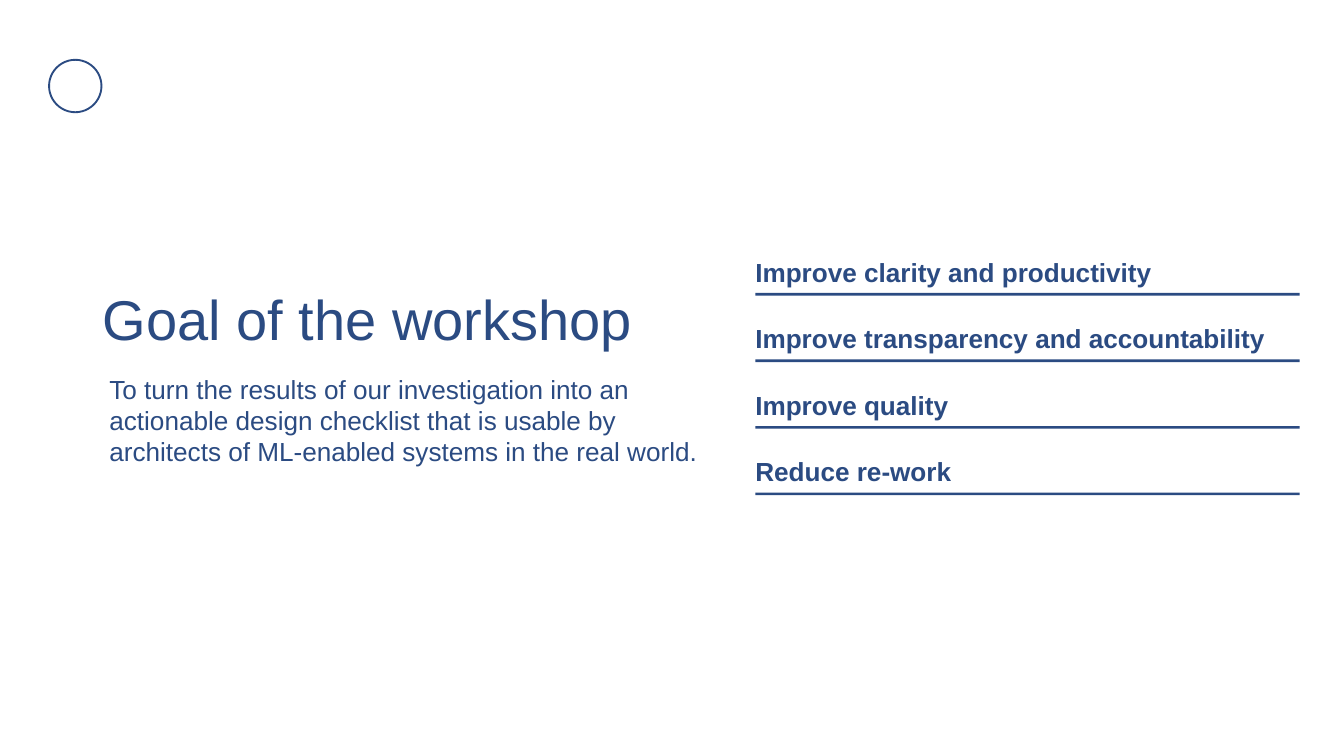
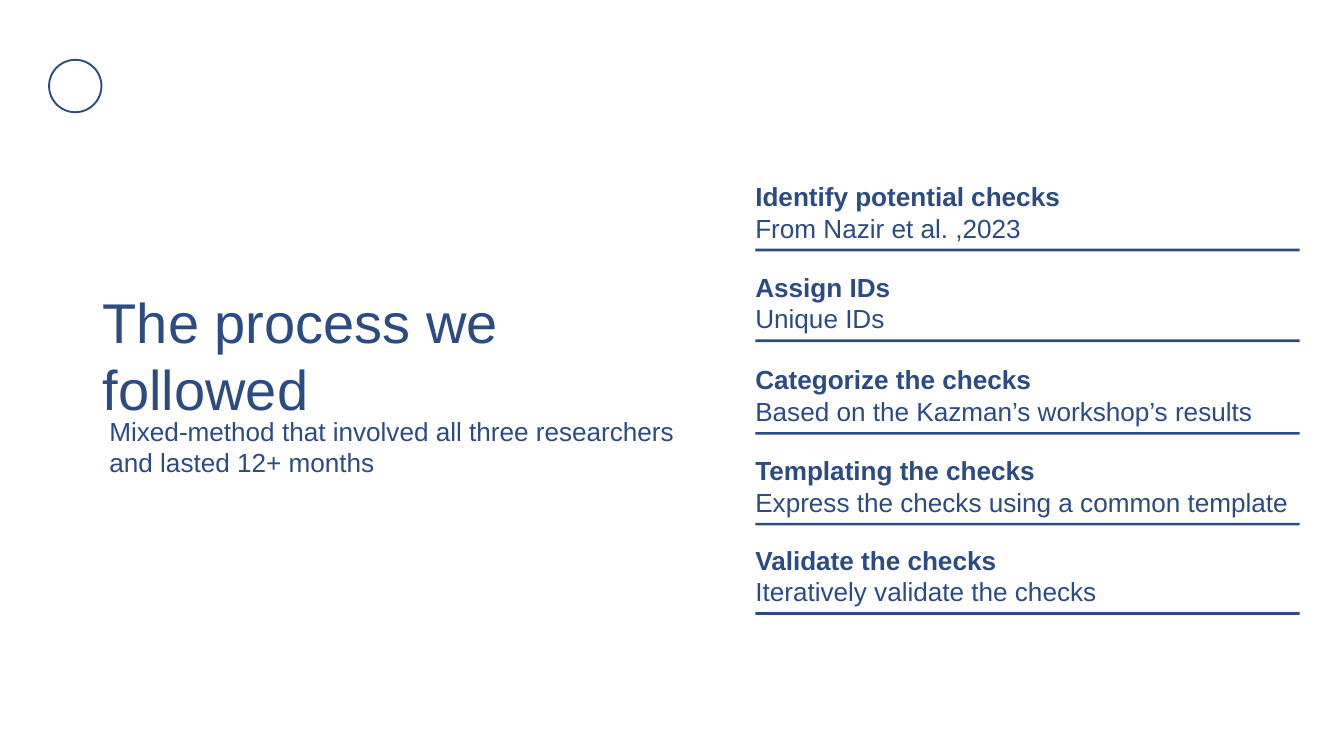
import pptx
import pptx.util
import pptx.dml.color
import pptx.enum.shapes
import pptx.enum.text

Inches, Pt = pptx.util.Inches, pptx.util.Pt
SHAPE = pptx.enum.shapes.MSO_SHAPE

NAVY = pptx.dml.color.RGBColor(0x2B, 0x4B, 0x82)
WHITE = pptx.dml.color.RGBColor(0xFF, 0xFF, 0xFF)
FONT = "Arial"
TITLE_SIZE, TEXT_SIZE = 60, 28
LEFT_X, LIST_X, LIST_WIDTH = 1.53, 11.24, 8.1
RULE_HEIGHT, DETAIL_DROP = 0.04, 0.52

ARROW = [
    (1.36, 1.27), (1.25, 1.19), (1.23, 1.20), (1.23, 1.22), (1.30, 1.26),
    (0.88, 1.26), (0.88, 1.29), (1.30, 1.29), (1.23, 1.34), (1.23, 1.36),
    (1.24, 1.37), (1.25, 1.36), (1.36, 1.29), (1.37, 1.28),
]

SLIDES = [
    {
        "title": ("Goal of the workshop", 4.24, 0.84),
        "summary": (
            "To turn the results of our investigation into an actionable design "
            "checklist that is usable by architects of ML-enabled systems in the "
            "real world.", 5.5, 1.51),
        "rule_drop": 0.57,
        "items": [
            (3.79, "Improve clarity and productivity", None),
            (4.78, "Improve transparency and accountability", None),
            (5.77, "Improve quality", None),
            (6.76, "Reduce re-work", None),
        ],
    },
    {
        "title": ("The process we followed", 4.28, 1.68),
        "summary": (
            "Mixed-method that involved all three researchers and lasted "
            "12+ months", 6.13, 1.04),
        "rule_drop": 1.04,
        "items": [
            (2.66, "Identify potential checks", "From Nazir et al. ,2023"),
            (4.01, "Assign IDs", "Unique IDs"),
            (5.39, "Categorize the checks", "Based on the Kazman’s workshop’s results"),
            (6.74, "Templating the checks", "Express the checks using a common template"),
            (8.07, "Validate the checks", "Iteratively validate the checks"),
        ],
    },
]


def add_text(slide, text, box, size, spacing, bold=False, insets=(0, 0)):
    frame = slide.shapes.add_textbox(*map(Inches, box)).text_frame
    frame.word_wrap = True
    frame.auto_size = pptx.enum.text.MSO_AUTO_SIZE.SHAPE_TO_FIT_TEXT
    frame.margin_left = frame.margin_right = Inches(insets[0])
    frame.margin_top = frame.margin_bottom = Inches(insets[1])
    paragraph = frame.paragraphs[0]
    paragraph.line_spacing = spacing
    run = paragraph.add_run()
    run.text = text
    run.font.name = FONT
    run.font.size = Pt(size)
    run.font.bold = bold
    run.font.color.rgb = NAVY


def fill_navy(shape):
    shape.shadow.inherit = False
    shape.fill.solid()
    shape.fill.fore_color.rgb = NAVY
    shape.line.fill.background()


def add_arrow_badge(slide):
    outline = slide.shapes.build_freeform(*ARROW[0], scale=Inches(1))
    outline.add_line_segments(ARROW[1:], close=True)
    fill_navy(outline.convert_to_shape())
    ring = slide.shapes.add_shape(SHAPE.OVAL, *map(Inches, (0.73, 0.89, 0.78, 0.78)))
    ring.shadow.inherit = False
    ring.fill.background()
    ring.line.color.rgb = NAVY
    ring.line.width = Pt(2)


def add_item(slide, top, heading, detail, rule_drop):
    rule = (LIST_X, top + rule_drop, LIST_WIDTH, RULE_HEIGHT)
    fill_navy(slide.shapes.add_shape(SHAPE.RECTANGLE, *map(Inches, rule)))
    if detail:
        add_text(slide, detail, (LIST_X, top + DETAIL_DROP, LIST_WIDTH, 0.39),
                 TEXT_SIZE, 0.97)
    add_text(slide, heading, (LIST_X, top, LIST_WIDTH, 0.41),
             TEXT_SIZE, 1.05, bold=True)


def add_slide(deck, content):
    slide = deck.slides.add_slide(deck.slide_layouts[6])
    slide.background.fill.solid()
    slide.background.fill.fore_color.rgb = WHITE
    add_arrow_badge(slide)
    title, top, height = content["title"]
    add_text(slide, title, (LEFT_X, top, 9.11, height),
             TITLE_SIZE, Pt(1.2 * TITLE_SIZE))
    summary, top, height = content["summary"]
    add_text(slide, summary, (LEFT_X, top, 9.34, height),
             TEXT_SIZE, Pt(1.2 * TEXT_SIZE), insets=(0.1, 0.05))
    for item in content["items"]:
        add_item(slide, *item, content["rule_drop"])


def main():
    deck = pptx.Presentation()
    deck.slide_width, deck.slide_height = Inches(20), Inches(11.25)
    for content in SLIDES:
        add_slide(deck, content)
    deck.save("out.pptx")


if __name__ == "__main__":
    main()
